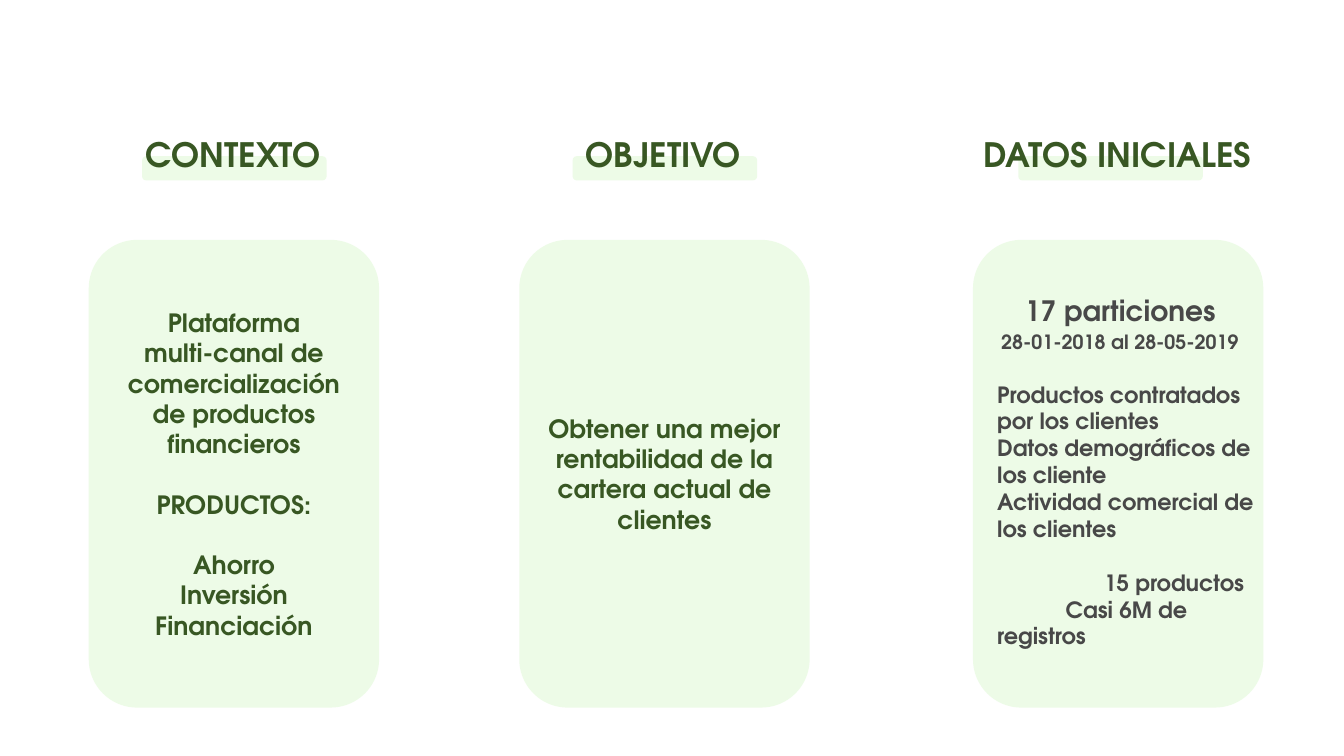
from pptx import Presentation
from pptx import util as u
from pptx.dml.color import RGBColor
from pptx.enum import shapes, text
from pptx.oxml.ns import qn
from lxml import etree

GREEN = RGBColor(0x38, 0x57, 0x23)
GREY = RGBColor(0x48, 0x48, 0x48)
LIGHT = RGBColor(0x96, 0xEC, 0x74)
FONT = "TeX Gyre Adventor"

CARD_WIDTH, CARD_TOP, CARD_HEIGHT = 2.88, 2.38, 4.64
BAR_WIDTH, BAR_TOP, BAR_HEIGHT = 1.83, 1.55, 0.24
HEADING_WIDTH, HEADING_TOP, HEADING_HEIGHT = 3, 1.28, 0.5

CONTEXT = [
    ("Plataforma", 0),
    ("multi-canal de comercialización de productos financieros", 0),
    ("PRODUCTOS:", 21.6),
    ("Ahorro", 21.6),
    ("Inversión", 0),
    ("Financiación", 0),
]
GOAL = [("Obtener una mejor rentabilidad de la cartera actual de clientes", 0)]
COLUMNS = [
    ("CONTEXTO", 0.88, 1.41, CONTEXT),
    ("OBJETIVO", 5.15, 5.68, GOAL),
    ("DATOS INICIALES", 9.65, 10.1, []),
]

CENTER, LEFT = text.PP_ALIGN.CENTER, text.PP_ALIGN.LEFT
DATA = [
    ("17 particiones", 20, 0, CENTER, 0.29, 0),
    ("28-01-2018 al 28-05-2019", 14, 2, CENTER, 0.29, 0),
    ("Productos contratados por los clientes", 16, 19.6, LEFT, 0.5, 0),
    ("Datos demográficos de los cliente", 16, 0, LEFT, 0.5, 0),
    ("Actividad comercial de los clientes", 16, 0, LEFT, 0.5, 0),
    ("15 productos", 16, 19.2, LEFT, 0.5, 1.06),
    ("Casi 6M de registros", 16, 0, LEFT, 0.5, 0.68),
]


class Board:
    def __init__(self, deck):
        self.slide = deck.slides.add_slide(deck.slide_layouts[1])

    def panel(self, left, top, width, height):
        box = self.slide.shapes.add_shape(
            shapes.MSO_SHAPE.ROUNDED_RECTANGLE,
            u.Inches(left), u.Inches(top), u.Inches(width), u.Inches(height))
        box.shadow.inherit = False
        box.fill.solid()
        box.fill.fore_color.rgb = LIGHT
        color = box._element.spPr.find(qn("a:solidFill")).find(qn("a:srgbClr"))
        etree.SubElement(color, qn("a:alpha"), val="17000")
        box.line.fill.background()
        return box

    def place(self, box, left, top, width, height):
        box.left, box.top = u.Inches(left), u.Inches(top)
        box.width, box.height = u.Inches(width), u.Inches(height)
        frame = box.text_frame
        frame.word_wrap = True
        frame.auto_size = text.MSO_AUTO_SIZE.NONE
        frame.vertical_anchor = text.MSO_ANCHOR.TOP
        self.slide.shapes._spTree.append(box._element)

    def style(self, para, words, size, color, before=0, align=CENTER):
        para.text = words
        para.alignment = align
        para.space_before = u.Pt(before)
        for span in para.runs:
            span.font.name = FONT
            span.font.size = u.Pt(size)
            span.font.bold = True
            span.font.color.rgb = color

    def card(self, left, lines):
        box = self.panel(left, CARD_TOP, CARD_WIDTH, CARD_HEIGHT)
        frame = box.text_frame
        frame.vertical_anchor = text.MSO_ANCHOR.MIDDLE
        for index, (words, before) in enumerate(lines):
            para = frame.add_paragraph() if index else frame.paragraphs[0]
            self.style(para, words, 18, GREEN, before)

    def heading(self, box, words, card_left):
        left = card_left + (CARD_WIDTH - HEADING_WIDTH) / 2 - 0.01
        self.place(box, left, HEADING_TOP, HEADING_WIDTH, HEADING_HEIGHT)
        self.style(box.text_frame.paragraphs[0], words, 24, GREEN)

    def data(self, box):
        self.place(box, 9.29, 2.86, 3.35, 3.67)
        frame = box.text_frame
        for index, (words, size, before, align, margin, indent) in enumerate(DATA):
            para = frame.add_paragraph() if index else frame.paragraphs[0]
            properties = para._p.get_or_add_pPr()
            properties.set("marL", str(u.Inches(margin)))
            properties.set("indent", str(u.Inches(indent)))
            etree.SubElement(properties, qn("a:buNone"))
            self.style(para, words, size, GREY, before, align)


def main():
    deck = Presentation()
    deck.slide_width, deck.slide_height = u.Inches(13.33), u.Inches(7.5)
    board = Board(deck)
    title, body = board.slide.placeholders
    for words, left, bar_left, lines in COLUMNS:
        board.card(left, lines)
        board.panel(bar_left, BAR_TOP, BAR_WIDTH, BAR_HEIGHT)
    for index, (words, left, bar_left, lines) in enumerate(COLUMNS):
        box = board.slide.shapes.add_textbox(0, 0, 0, 0) if index else title
        board.heading(box, words, left)
    board.data(body)
    deck.save("out.pptx")


if __name__ == "__main__":
    main()
